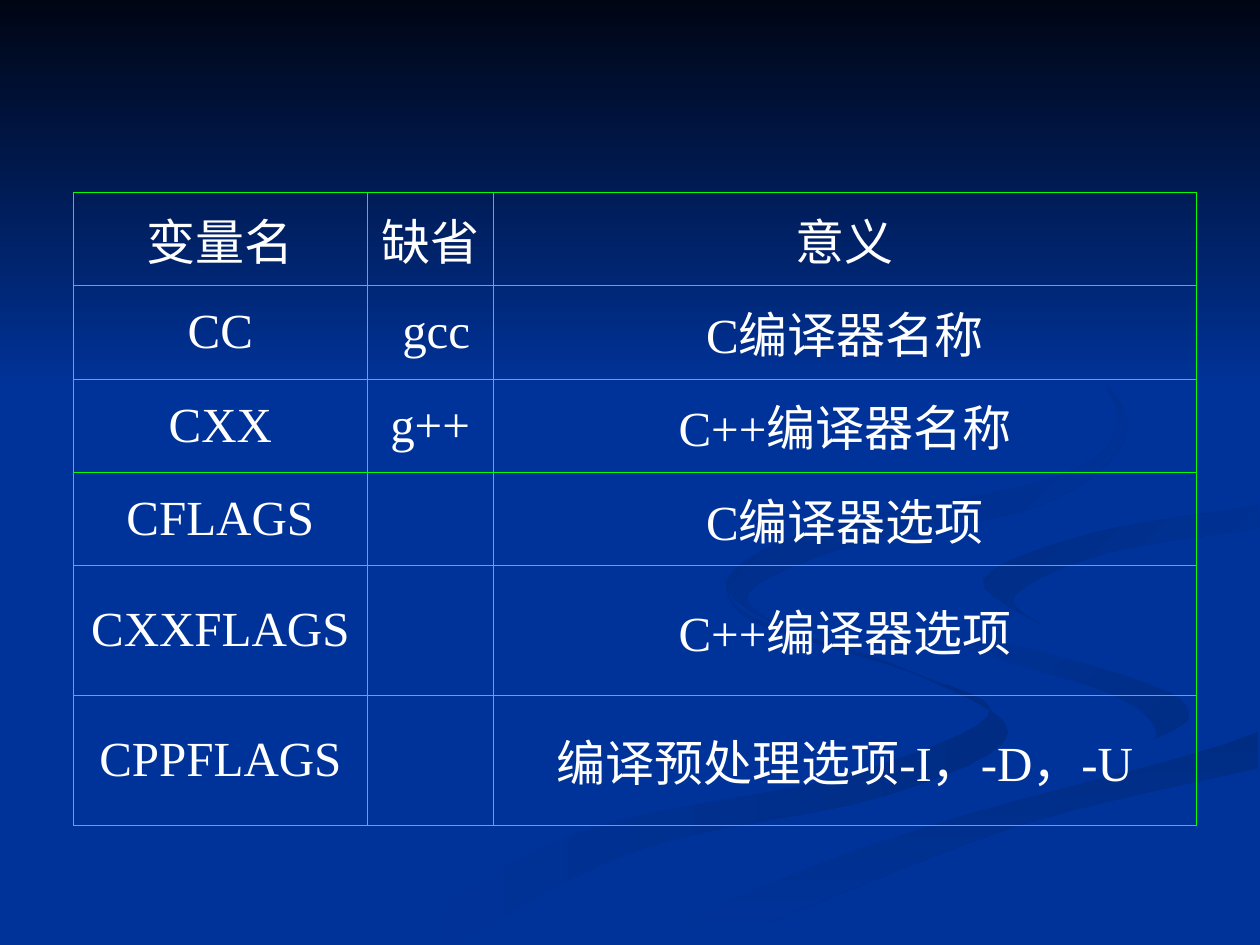
from dataclasses import dataclass

from lxml.etree import SubElement
from pptx import Presentation
from pptx.dml.color import RGBColor
from pptx.enum.text import MSO_ANCHOR, PP_ALIGN
from pptx.oxml.ns import qn
from pptx.shapes.autoshape import Shape
from pptx.slide import Slide
from pptx.table import _Cell
from pptx.util import Pt

BLUE = RGBColor(0x00, 0x33, 0x99)
NIGHT = RGBColor(0x00, 0x05, 0x14)
SHADE = RGBColor(0x00, 0x2C, 0x84)
GREEN = RGBColor(0x00, 0xFF, 0x00)
WHITE = RGBColor(0xFF, 0xFF, 0xFF)
FONT = "Times New Roman"
STEPS = 6

Point = tuple[float, float]


@dataclass(frozen=True)
class Ribbon:
    start: RGBColor
    end: RGBColor
    angle: int
    outer: tuple[Point, ...]
    inner: tuple[Point, ...]


RIBBONS = (
    Ribbon(BLUE, SHADE, 0,
           ((414, 331), (430, 353), (516, 382), (576, 419), (505, 455), (367, 485), (260, 539)),
           ((216, 539), (330, 476), (480, 444), (565, 409), (520, 384), (430, 355), (414, 331))),
    Ribbon(BLUE, SHADE, 45,
           ((521, 334), (546, 358), (652, 389), (679, 410), (644, 436)),
           ((644, 436), (661, 418), (634, 396), (552, 369), (521, 334))),
    Ribbon(SHADE, BLUE, 90,
           ((362, 539), (454, 499), (550, 466), (719, 418)),
           ((719, 439), (591, 469), (482, 510), (411, 539))),
    Ribbon(BLUE, BLUE, 0,
           ((719, 279), (582, 300), (522, 334), (546, 358), (652, 389), (679, 412), (585, 450), (343, 539)),
           ((362, 539), (454, 499), (550, 466), (719, 418), (719, 387), (599, 358), (562, 333), (612, 309), (719, 289))),
    Ribbon(SHADE, BLUE, 45,
           ((719, 289), (623, 305), (562, 331), (595, 357)),
           ((595, 357), (580, 340), (632, 316), (719, 302))),
    Ribbon(SHADE, BLUE, 45,
           ((549, 168), (622, 210), (643, 250), (594, 289), (492, 310)),
           ((448, 360), (428, 338), (449, 320), (492, 310))),
)

COLUMN_WIDTHS = (167.76, 72, 402)
ROW_HEIGHTS = (53.28,) * 4 + (74.16,) * 2
ROWS = (
    ("变量名", "缺省", "意义"),
    ("CC", " gcc", "C编译器名称"),
    ("CXX", "g++", "C++编译器名称"),
    ("CFLAGS", "", "C编译器选项"),
    ("CXXFLAGS", "", "C++编译器选项"),
    ("CPPFLAGS", "", "编译预处理选项-I，-D，-U"),
)

CURL = Ribbon(SHADE, BLUE, 45,
              ((549, 168), (622, 210), (643, 250), (594, 289), (492, 310), (428, 338), (448, 360)),
              ((448, 360), (415, 333), (467, 302), (606, 272), (639, 238), (609, 201), (549, 168)))


def smooth(points: tuple[Point, ...]) -> list[Point]:
    padded = (points[0], *points, points[-1])
    curve = []
    for a, b, c, d in zip(padded, padded[1:], padded[2:], padded[3:]):
        for step in range(STEPS):
            t = step / STEPS
            curve.append(tuple(
                q + t / 2 * (r - p + t * (2 * p - 5 * q + 4 * r - u + t * (3 * (q - r) + u - p)))
                for p, q, r, u in zip(a, b, c, d)))
    return [*curve, points[-1]]


def paint(sp: Shape, start: RGBColor, end: RGBColor, angle: int) -> None:
    sp.shadow.inherit = False
    sp.line.fill.background()
    if start == end:
        sp.fill.solid()
        sp.fill.fore_color.rgb = start
        return
    sp.fill.gradient()
    sp.fill.gradient_angle = 360 - angle
    for stop, color in zip(sp.fill.gradient_stops, (start, end)):
        stop.color.rgb = color


def draw_outline(s: Slide, points: list[Point]) -> Shape:
    corners = [(Pt(x), Pt(y)) for x, y in points]
    builder = s.shapes.build_freeform(*corners[0])
    builder.add_line_segments(corners[1:], close=True)
    return builder.convert_to_shape()


def draw_ribbon(s: Slide, ribbon: Ribbon) -> None:
    sp = draw_outline(s, smooth(ribbon.outer) + smooth(ribbon.inner))
    paint(sp, ribbon.start, ribbon.end, ribbon.angle)


def draw_sky(s: Slide) -> None:
    sp = draw_outline(s, [(0, 0), (0, 222), (720, 222), (720, 0)])
    paint(sp, NIGHT, BLUE, 90)


def add_borders(cell: _Cell) -> None:
    tc_pr = cell._tc.get_or_add_tcPr()
    for side in ("a:lnL", "a:lnR", "a:lnT", "a:lnB"):
        ln = SubElement(tc_pr, qn(side), w=str(Pt(0.45)))
        fill = SubElement(ln, qn("a:solidFill"))
        SubElement(fill, qn("a:srgbClr"), val=str(GREEN))


def format_cell(cell: _Cell, text: str) -> None:
    add_borders(cell)
    cell.fill.background()
    cell.vertical_anchor = MSO_ANCHOR.MIDDLE
    cell.text = text
    p = cell.text_frame.paragraphs[0]
    p.alignment = PP_ALIGN.CENTER
    p.font.name = FONT
    p.font.size = Pt(28)
    p.font.color.rgb = WHITE


def draw_variable_table(s: Slide) -> None:
    table = s.shapes.add_table(
        len(ROWS), len(COLUMN_WIDTHS), Pt(42), Pt(110),
        Pt(sum(COLUMN_WIDTHS)), Pt(sum(ROW_HEIGHTS))).table
    table.first_row = False
    table.horz_banding = False
    for column, width in zip(table.columns, COLUMN_WIDTHS):
        column.width = Pt(width)
    for row, height, texts in zip(table.rows, ROW_HEIGHTS, ROWS):
        row.height = Pt(height)
        for cell, text in zip(row.cells, texts):
            format_cell(cell, text)


def main() -> None:
    prs = Presentation()
    prs.slide_width, prs.slide_height = Pt(720), Pt(540)
    s = prs.slides.add_slide(prs.slide_layouts[6])
    s.background.fill.solid()
    s.background.fill.fore_color.rgb = BLUE
    for ribbon in (*RIBBONS[:-1], CURL):
        draw_ribbon(s, ribbon)
    draw_sky(s)
    draw_variable_table(s)
    prs.save("out.pptx")


if __name__ == "__main__":
    main()
